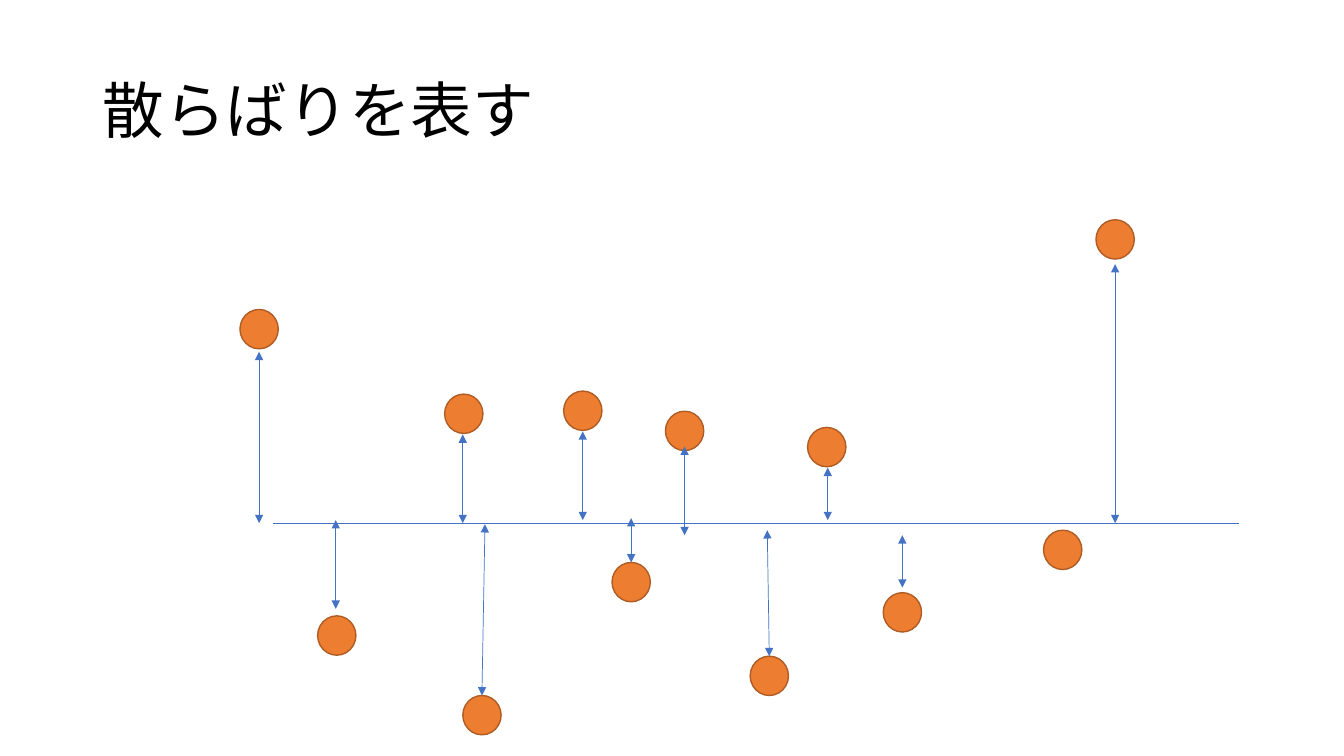
"""Build a slide showing points scattered around a mean line, with deviation arrows."""
from lxml import etree
from pptx import Presentation
from pptx.dml.color import RGBColor
from pptx.enum.shapes import MSO_CONNECTOR, MSO_SHAPE
from pptx.enum.text import MSO_ANCHOR
from pptx.oxml.ns import qn
from pptx.util import Inches, Pt

TITLE = "散らばりを表す"
FONT = "Noto Sans CJK JP"
MEAN_LINE = (2.71, 5.19, 12.29, 5.19)
DOT_WIDTH, DOT_HEIGHT = 0.38, 0.39
DOTS = [
    (4.41, 3.91), (10.87, 2.18), (8.01, 4.24), (5.59, 3.88),
    (6.6, 4.08), (10.35, 5.26), (7.44, 6.51), (4.59, 6.9),
    (2.38, 3.07), (3.15, 6.11), (6.07, 5.58), (8.76, 5.88),
]
DEVIATIONS = [
    (4.59, 4.31, 4.59, 5.19),
    (11.06, 2.62, 11.06, 5.19),
    (5.78, 4.28, 5.78, 5.16),
    (2.57, 3.49, 2.57, 5.19),
    (6.26, 5.14, 6.26, 5.58),
    (4.81, 5.2, 4.78, 6.9),
    (3.33, 5.16, 3.33, 6.04),
    (8.21, 4.64, 8.21, 5.16),
    (6.79, 4.43, 6.79, 5.31),
    (7.61, 5.26, 7.63, 6.51),
    (8.95, 5.31, 8.95, 5.83),
]

BLACK = RGBColor(0x00, 0x00, 0x00)
BLUE = RGBColor(0x44, 0x72, 0xC4)
ORANGE = RGBColor(0xED, 0x7D, 0x31)
BROWN = RGBColor(0xAF, 0x5C, 0x24)
STRAIGHT = MSO_CONNECTOR.STRAIGHT
OVAL = MSO_SHAPE.OVAL
MIDDLE = MSO_ANCHOR.MIDDLE


def add_title(slide):
    box = slide.shapes.add_textbox(Inches(0.92), Inches(0.4), Inches(11.5), Inches(1.45))
    frame = box.text_frame
    frame.word_wrap = True
    frame.vertical_anchor = MIDDLE
    paragraph = frame.paragraphs[0]
    paragraph.text = TITLE
    paragraph.line_spacing = 0.9
    font = paragraph.font
    font.size = Pt(44)
    font.name = FONT
    font.color.rgb = BLACK
    properties = paragraph._p.pPr.find(qn("a:defRPr"))
    latin = properties.find(qn("a:latin"))
    east_asian = etree.Element(qn("a:ea"), typeface=FONT)
    latin.addnext(east_asian)


def add_dot(slide, left, top):
    dot = slide.shapes.add_shape(
        OVAL, Inches(left), Inches(top), Inches(DOT_WIDTH), Inches(DOT_HEIGHT))
    dot.shadow.inherit = False
    dot.fill.solid()
    dot.fill.fore_color.rgb = ORANGE
    dot.line.color.rgb = BROWN
    dot.line.width = Pt(1)


def add_line(slide, ends, arrows=False):
    connector = slide.shapes.add_connector(STRAIGHT, *[Inches(value) for value in ends])
    connector.line.color.rgb = BLUE
    connector.line.width = Pt(0.5)
    properties = connector._element.spPr
    if arrows:
        outline = properties.find(qn("a:ln"))
        for end in ("a:headEnd", "a:tailEnd"):
            etree.SubElement(outline, qn(end), type="triangle")
    etree.SubElement(properties, qn("a:effectLst"))


def main():
    presentation = Presentation()
    presentation.slide_width = Inches(13.33)
    presentation.slide_height = Inches(7.5)
    slide = presentation.slides.add_slide(presentation.slide_layouts[6])
    add_title(slide)
    add_line(slide, MEAN_LINE)
    for left, top in DOTS:
        add_dot(slide, left, top)
    for ends in DEVIATIONS:
        add_line(slide, ends, arrows=True)
    presentation.save("out.pptx")


if __name__ == "__main__":
    main()
